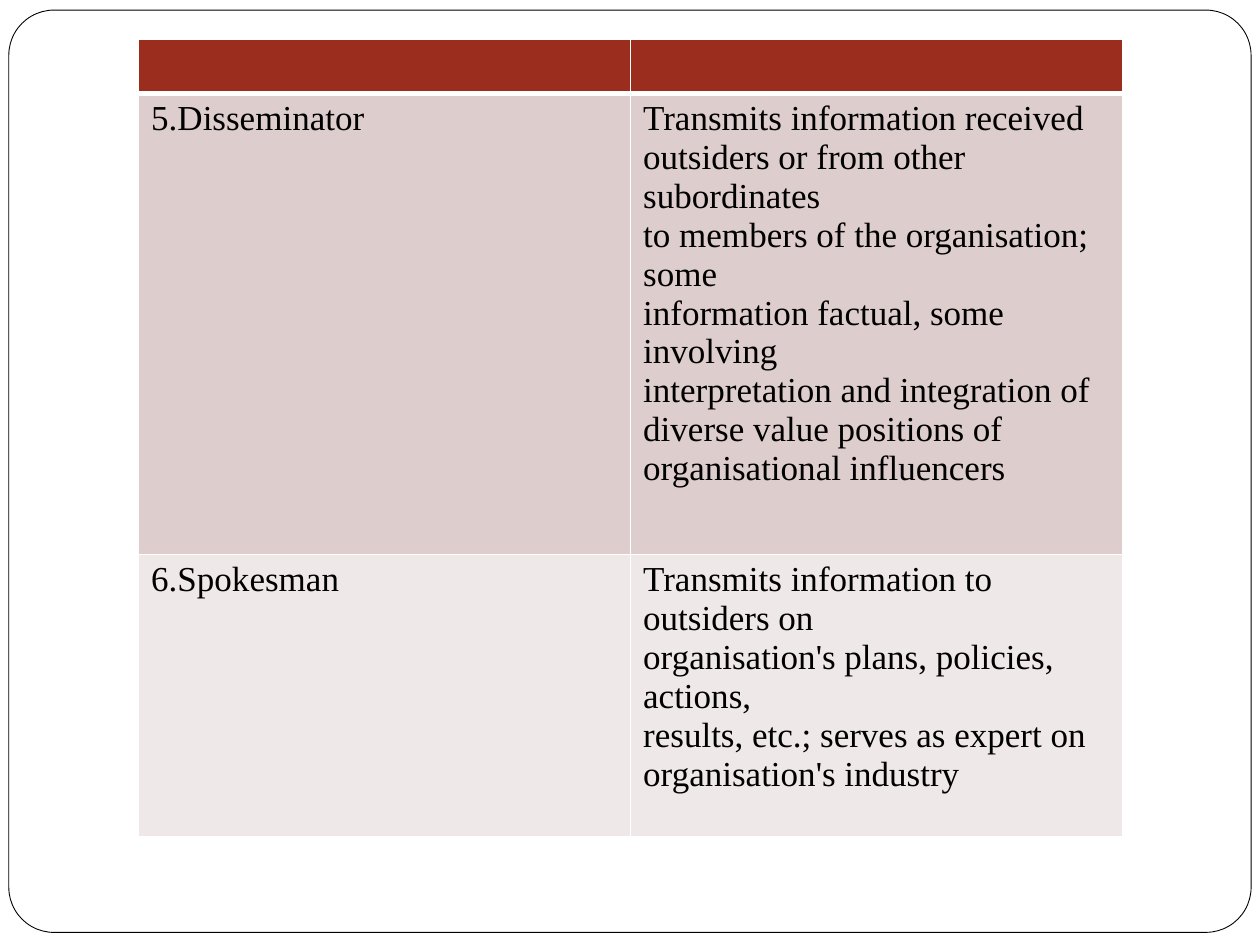
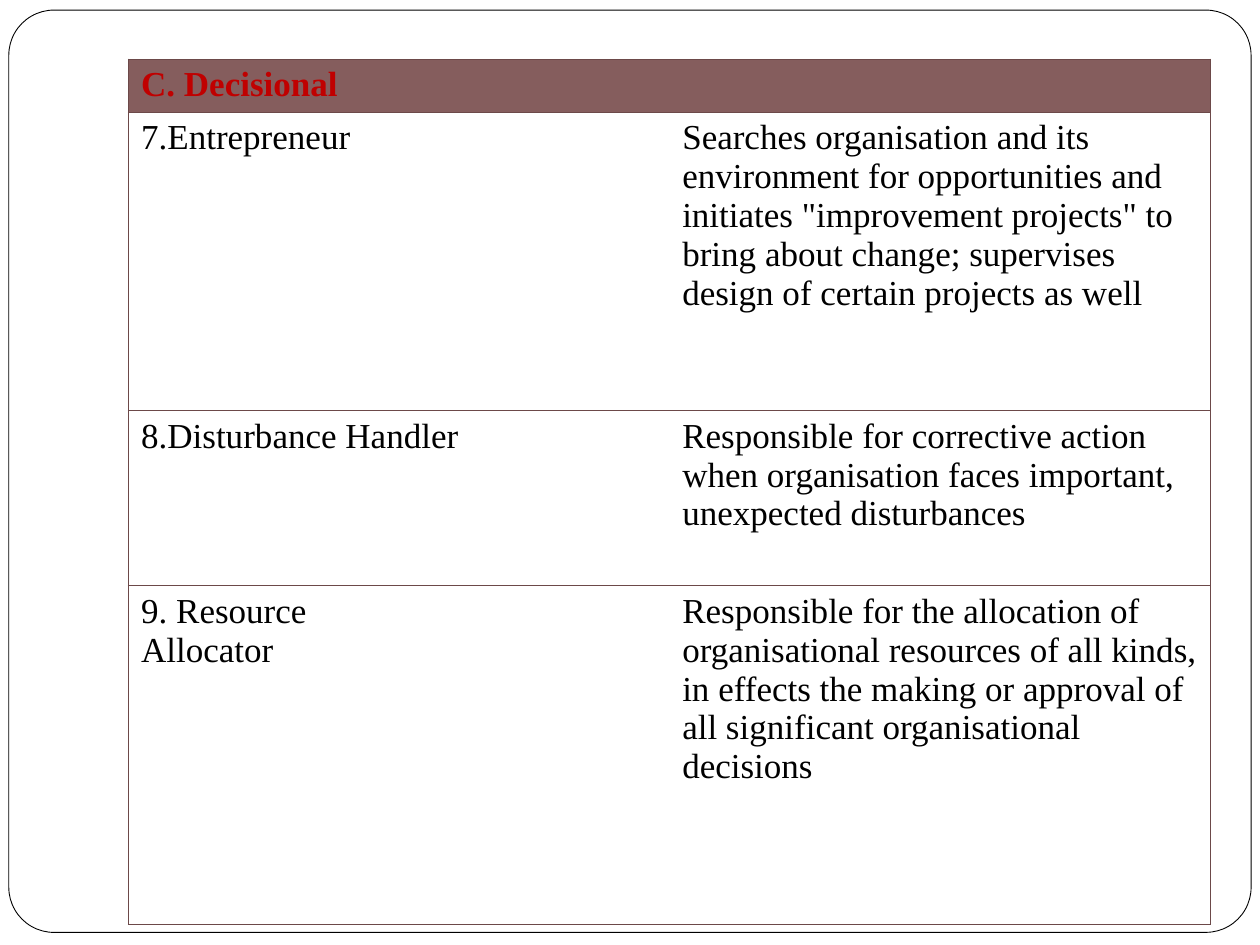
from dataclasses import dataclass
from lxml.etree import SubElement as Sub
from pptx import Presentation
from pptx.dml.color import RGBColor as Rgb
from pptx.enum.shapes import MSO_SHAPE as Kind
from pptx.oxml.ns import qn
from pptx.util import Inches, Pt


@dataclass(frozen=True)
class Theme:
    """Hold the colours, font and sizes that the slides share."""
    font: str = "Times New Roman"
    size: int = 20
    ink: str = "000000"
    paper: str = "FFFFFF"
    rust: str = "9B2D1F"
    rose: str = "DECDCD"
    blush: str = "EFE8E8"
    mauve: str = "855D5D"
    plum: str = "6C4949"
    red: str = "C00000"
    thin: float = 0.5
    rule: float = 0.75
    grid: float = 1
    heavy: float = 3


LOOK = Theme()


def paint(item, hue):
    """Give a fill or a line one solid colour."""
    item.solid()
    item.fore_color.rgb = Rgb.from_string(hue)


def frame(slide, box):
    """Draw the rounded page frame and move it to the shared layout."""
    shape = slide.shapes.add_shape(Kind.ROUNDED_RECTANGLE, *map(Inches, box))
    shape.shadow.inherit = False
    shape.adjustments[0] = 0.049
    paint(shape.fill, LOOK.paper)
    paint(shape.line.fill, LOOK.ink)
    shape.line.width = Pt(LOOK.thin)
    slide.slide_layout.shapes.element.insert(2, shape.element)


def edge(cell, sides):
    """Set the four cell borders; a side without a value has no line."""
    props = cell._tc.get_or_add_tcPr()
    for spot, side in enumerate("LRTB"):
        line = Sub(props, qn(f"a:ln{side}"))
        props.insert(spot, line)
        if side in sides:
            hue, width = sides[side]
            line.set("w", str(int(Pt(width))))
            fill = Sub(line, qn("a:solidFill"))
            Sub(fill, qn("a:srgbClr")).set("val", hue)
        else:
            Sub(line, qn("a:noFill"))


def write(cell, text, hue, bold):
    """Write one paragraph for each line of text."""
    cell.text = text
    form = {"name": LOOK.font, "size": Pt(LOOK.size), "bold": bold}
    for para in cell.text_frame.paragraphs:
        for run in para.runs:
            for key, value in form.items():
                setattr(run.font, key, value)
            run.font.color.rgb = Rgb.from_string(hue)


def grid(slide, box, rows, fills, edges, head=LOOK.ink):
    """Build a two-column role table in the box from (height, texts) rows."""
    count = len(rows)
    table = slide.shapes.add_table(count, 2, *map(Inches, box)).table
    table.first_row = table.horz_banding = False
    for col in table.columns:
        col.width = Inches(box[2] / 2)
    for r, (high, texts) in enumerate(rows):
        table.rows[r].height = Inches(high)
        for c, text in enumerate(texts):
            cell = table.cell(r, c)
            if text:
                write(cell, text, LOOK.ink if r else head, r == 0)
            if fills[r]:
                paint(cell.fill, fills[r])
            else:
                cell.fill.background()
            edge(cell, edges(r, c))


def banded(row, col):
    """Return white borders, heavy below the header."""
    sides = {side: (LOOK.paper, LOOK.grid) for side in "LRTB"}
    if row < 2:
        sides["T" if row else "B"] = (LOOK.paper, LOOK.heavy)
    return sides


def ruled(row, col):
    """Return borders round each row, with none between columns."""
    return {side: (LOOK.plum, LOOK.rule) for side in "TB" + "LR"[col]}


INFORM = [
    (0.43, ("", "")),
    (3.66, ("5.Disseminator",
            "Transmits information received\n"
            "outsiders or from other subordinates\n"
            "to members of the organisation; some\n"
            "information factual, some involving\n"
            "interpretation and integration of\n"
            "diverse value positions of\n"
            "organisational influencers")),
    (2.24, ("6.Spokesman",
            "Transmits information to outsiders on\n"
            "organisation's plans, policies, actions,\n"
            "results, etc.; serves as expert on\n"
            "organisation's industry")),
]
DECIDE = [
    (0.42, ("C. Decisional", "")),
    (2.37, ("7.Entrepreneur",
            "Searches organisation and its environment for opportunities "
            "and initiates \"improvement projects\" to bring about change; "
            "supervises design of certain projects as well")),
    (1.39, ("8.Disturbance Handler",
            "Responsible for corrective action when organisation faces "
            "important, unexpected disturbances")),
    (2.69, ("9. Resource\nAllocator",
            "Responsible for the allocation of\n"
            "organisational resources of all kinds,\n"
            "in effects the making or approval of\n"
            "all significant organisational decisions")),
]


def main():
    """Build both slides and save the deck."""
    deck = Presentation()
    deck.slide_width, deck.slide_height = Inches(10), Inches(7.5)
    blank = deck.slide_layouts[6]
    first, second = [deck.slides.add_slide(blank) for _ in range(2)]
    frame(first, (0.07, 0.08, 9.86, 7.32))
    grid(first, (1.1, 0.31, 7.81, 6.33), INFORM,
         (LOOK.rust, LOOK.rose, LOOK.blush), banded)
    grid(second, (1.02, 0.47, 8.59, 6.87), DECIDE,
         (LOOK.mauve, None, None, None), ruled, LOOK.red)
    deck.save("out.pptx")


main()
